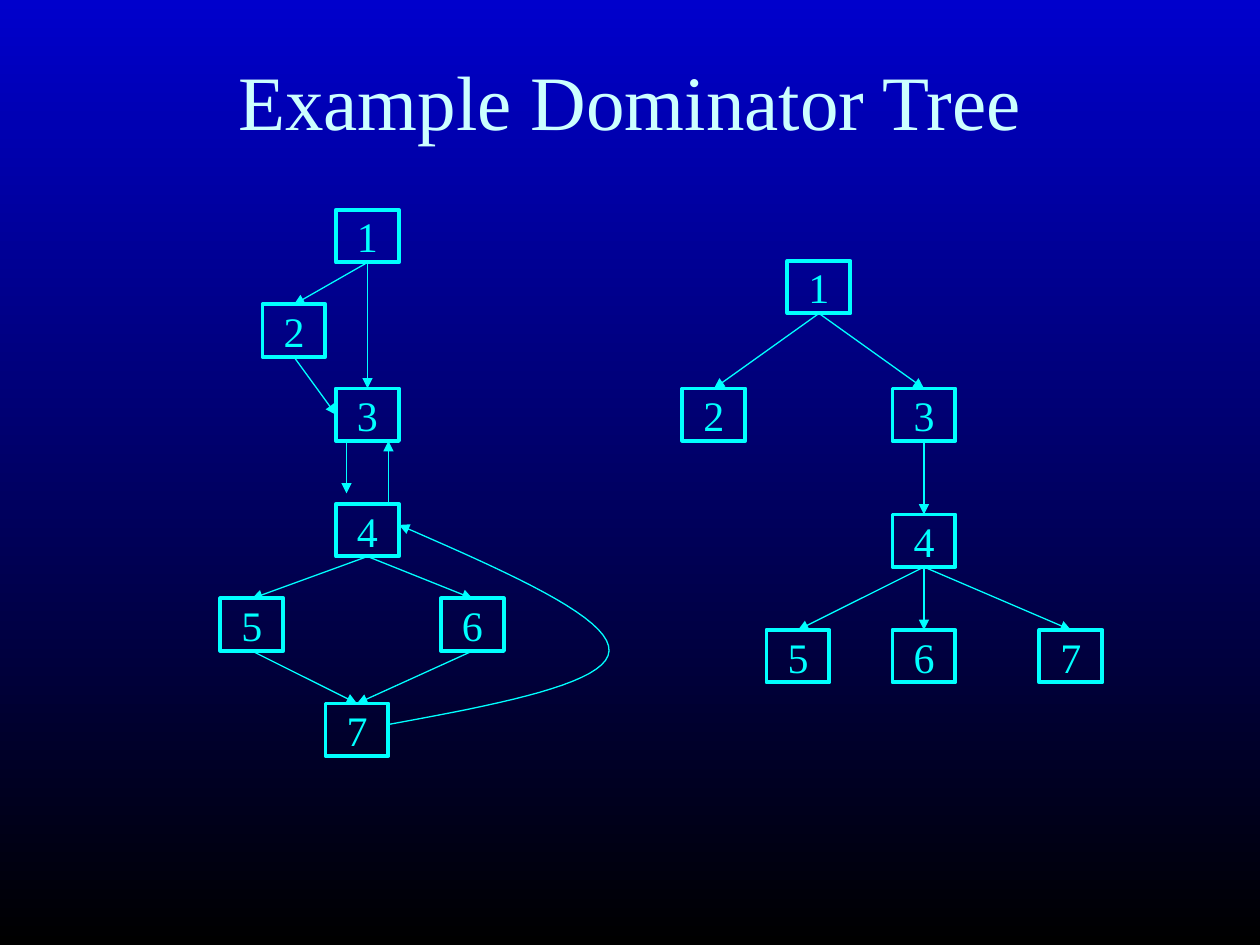
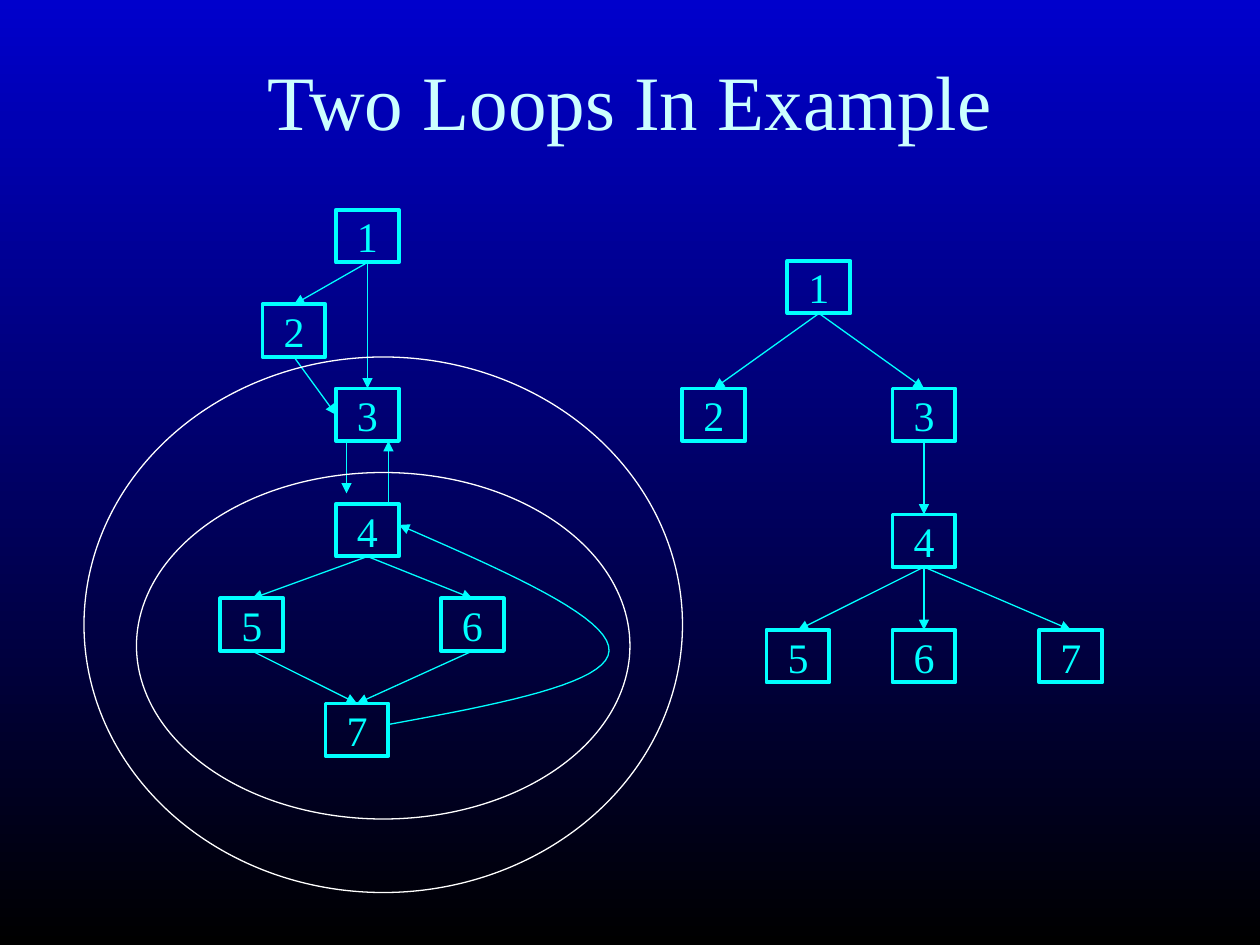
import pptx
import pptx.dml.color
import pptx.enum.shapes
import pptx.enum.text
import pptx.oxml
import pptx.oxml.ns
import pptx.util
from lxml import etree

Cm, Pt = pptx.util.Cm, pptx.util.Pt
SHAPE = pptx.enum.shapes.MSO_SHAPE
FONT = "Times New Roman"
CYAN, PALE, WHITE = "00FFFF", "CCFFFF", "FFFFFF"
TOP, LEFT, BOTTOM = 0, 1, 2  # connection sites of a rectangle

# Node corners (left, top) in grid units of 1/12 inch
FLOW = {"1": (32, 20), "2": (25, 29), "3": (32, 37), "4": (32, 48),
        "5": (21, 57), "6": (42, 57), "7": (31, 67)}
FLOW_EDGES = ["12", "13", "45", "46", "57", "67"]
TREE = {"1": (75, 24.85), "2": (65, 37), "3": (85, 37), "4": (85, 49),
        "5": (73, 60), "6": (85, 60), "7": (99, 60)}
TREE_EDGES = ["12", "13", "34", "45", "46", "47"]
# Back edge from 7 to 4: two cubic curves
BACK = [[(37, 69), (47.4, 67.1), (57.9, 65.1), (58, 62)],
        [(58, 62), (58.2, 58.8), (48.1, 54.4), (38, 50)]]
LOOPS = [(8, 34, 57, 51), (13, 45, 47, 33)]


def unit(n):
    return Cm(n * 2.54 / 12)


def tint(code):
    return pptx.dml.color.RGBColor.from_string(code)


def stroke(item, code, width):
    item.line.color.rgb = tint(code)
    item.line.width = Pt(width)


def hollow(shape, code, width):
    shape.shadow.inherit = False
    shape.fill.background()
    stroke(shape, code, width)


def write(frame, text, size, code):
    frame.vertical_anchor = pptx.enum.text.MSO_ANCHOR.MIDDLE
    frame.auto_size = pptx.enum.text.MSO_AUTO_SIZE.NONE
    para = frame.paragraphs[0]
    para.alignment = pptx.enum.text.PP_ALIGN.CENTER
    run = para.add_run()
    run.text = text
    run.font.name = FONT
    run.font.size = Pt(size)
    run.font.color.rgb = tint(code)


def head(item):
    """Put a triangle at the end of a line."""
    line = item._element.spPr.find(pptx.oxml.ns.qn("a:ln"))
    etree.SubElement(line, pptx.oxml.ns.qn("a:tailEnd"), type="triangle")


def arrow(slide, start=(0, 0), end=(0, 0)):
    kind = pptx.enum.shapes.MSO_CONNECTOR.STRAIGHT
    line = slide.shapes.add_connector(kind, *map(unit, start + end))
    stroke(line, CYAN, 0.75)
    head(line)
    etree.SubElement(line._element.spPr, pptx.oxml.ns.qn("a:effectLst"))
    return line


def link(slide, source, target, site=TOP):
    line = arrow(slide)
    line.begin_connect(source, BOTTOM)
    line.end_connect(target, site)


def node(slide, label, left, top):
    box = slide.shapes.add_shape(SHAPE.RECTANGLE, unit(left), unit(top),
                                 unit(6), unit(5))
    hollow(box, CYAN, 2.25)
    write(box.text_frame, label, 24, CYAN)
    box.text_frame.word_wrap = False
    return box


def graph(slide, spots, edges):
    boxes = {label: node(slide, label, *spot) for label, spot in spots.items()}
    for source, target in edges:
        link(slide, boxes[source], boxes[target])
    return boxes


def bend(curve, t):
    """Point at t on a cubic curve."""
    s = 1 - t
    parts = (s ** 3, 3 * s * s * t, 3 * s * t * t, t ** 3)
    return tuple(unit(sum(k * p[axis] for k, p in zip(parts, curve)))
                 for axis in (0, 1))


def sweep(slide, curves, steps=20):
    spots = [bend(curve, i / steps) for curve in curves
             for i in range(1, steps + 1)]
    pen = slide.shapes.build_freeform(*bend(curves[0], 0))
    pen.add_line_segments(spots, close=False)
    path = pen.convert_to_shape()
    hollow(path, CYAN, 0.75)
    head(path)


def ring(slide, *frame):
    hollow(slide.shapes.add_shape(SHAPE.OVAL, *map(unit, frame)), WHITE, 0.75)


def page(deck, text):
    slide = deck.slides.add_slide(deck.slide_layouts[5])
    title = slide.shapes.title
    title.left, title.top, title.width, title.height = map(
        unit, (5, 2, 110, 15))
    write(title.text_frame, text, 44, PALE)

    # Flow graph with its two back edges
    boxes = graph(slide, FLOW, FLOW_EDGES)
    link(slide, boxes["2"], boxes["3"], LEFT)
    arrow(slide, (33, 42), (33, 47))
    arrow(slide, (37, 48), (37, 42))
    sweep(slide, BACK)

    # Dominator tree
    graph(slide, TREE, TREE_EDGES)
    return slide


def paint(master):
    fill = master.background.fill
    fill.gradient()
    fill.gradient_angle = 270
    for stop, code, place in zip(fill.gradient_stops,
                                 ("0000CC", "000000"), (0, 1)):
        stop.color.rgb = tint(code)
        stop.position = place


def main():
    deck = pptx.Presentation()
    deck.slide_width, deck.slide_height = Cm(25.4), Cm(19.05)
    paint(deck.slide_master)
    page(deck, "Example Dominator Tree")
    slide = page(deck, "Two Loops In Example")
    for loop in LOOPS:
        ring(slide, *loop)
    deck.save("out.pptx")


if __name__ == "__main__":
    main()
